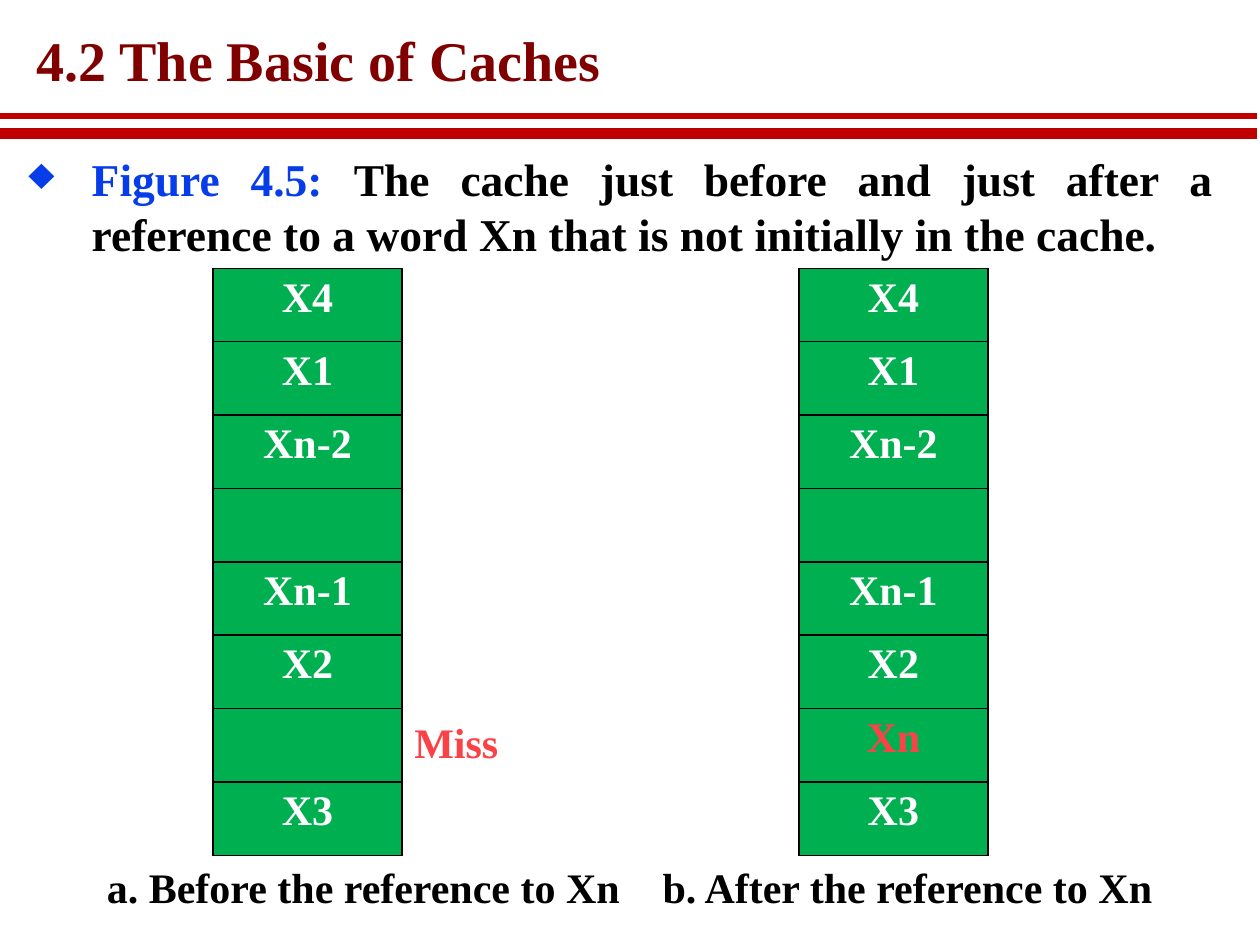
import dataclasses

import lxml.etree
import pptx
import pptx.dml.color
import pptx.enum.shapes
import pptx.enum.text
import pptx.oxml.ns
import pptx.util

PX = 9144
ALIGN = pptx.enum.text.PP_ALIGN
ANCHOR = pptx.enum.text.MSO_ANCHOR


@dataclasses.dataclass(frozen=True)
class Theme:
    """Colours, type sizes and font of the slide."""
    font: str = "Times New Roman"
    title: str = "800000"
    rule: str = "C00000"
    figure: str = "063DE8"
    text: str = "000000"
    cell: str = "00B050"
    cell_text: str = "FFFFFF"
    miss: str = "FB4347"
    title_size: int = 32
    body_size: int = 26
    label_size: int = 24


THEME = Theme()


def rgb(color):
    """Return the colour for a hex string."""
    return pptx.dml.color.RGBColor.from_string(color)


def emu(*lengths):
    """Turn px lengths into EMU."""
    return [n * PX for n in lengths]


def sub(parent, tag, **attrs):
    """Append a DrawingML element to parent."""
    return lxml.etree.SubElement(parent, pptx.oxml.ns.qn(tag), attrs)


def style(p, size, color, align=ALIGN.LEFT):
    """Format a paragraph in the bold slide font."""
    p.alignment = align
    p.font.name = THEME.font
    p.font.size = pptx.util.Pt(size)
    p.font.bold = True
    p.font.color.rgb = rgb(color)


def add_title(s, box, text):
    """Place and format the title placeholder."""
    sp = s.shapes.title
    sp.left, sp.top, sp.width, sp.height = emu(*box)
    tf = sp.text_frame
    tf.text = text
    tf.word_wrap = False
    tf.vertical_anchor = ANCHOR.MIDDLE
    tf.margin_left = tf.margin_right = 7 * PX
    tf.margin_top = tf.margin_bottom = 3 * PX
    p = tf.paragraphs[0]
    p.line_spacing = 0.87
    style(p, THEME.title_size, THEME.title)


def add_rules(s, box):
    """Draw a thin rule at the top of the box and a thick one at its bottom."""
    x, y, w, h = box
    for rule_y, weight in ((y, 3), (y + h, 6)):
        line = s.shapes.add_connector(
            pptx.enum.shapes.MSO_CONNECTOR.STRAIGHT, *emu(x, rule_y, x + w, rule_y))
        line.line.color.rgb = rgb(THEME.rule)
        line.line.width = pptx.util.Pt(weight)
        sub(line.element.spPr, "a:effectLst")


def add_label(s, box, text, color=THEME.text, wrap=True):
    """Add a one-line label."""
    tf = s.shapes.add_textbox(*emu(*box)).text_frame
    tf.word_wrap = wrap
    tf.text = text
    style(tf.paragraphs[0], THEME.label_size, color)


def add_statement(s, box, lead, text):
    """Add the justified bullet with its coloured lead-in."""
    tf = s.shapes.add_textbox(*emu(*box)).text_frame
    tf.word_wrap = True
    p = tf.paragraphs[0]
    style(p, THEME.body_size, THEME.text, ALIGN.JUSTIFY)
    p.space_before = pptx.util.Pt(5)
    for words, color in ((lead, THEME.figure), (text, THEME.text)):
        r = p.add_run()
        r.text = words
        r.font.color.rgb = rgb(color)
    pPr = p._p.get_or_add_pPr()
    pPr.set("marL", str(50 * PX))
    pPr.set("indent", str(-50 * PX))
    bullet = sub(pPr, "a:buChar", char="♦")
    pPr.find(pptx.oxml.ns.qn("a:defRPr")).addprevious(bullet)


def add_borders(cell):
    """Give a cell thin borders on all four sides."""
    tcPr = cell._tc.get_or_add_tcPr()
    for i, side in enumerate(("a:lnL", "a:lnR", "a:lnT", "a:lnB")):
        ln = sub(tcPr, side, w=str(pptx.util.Pt(1)))
        sub(sub(ln, "a:solidFill"), "a:srgbClr", val=THEME.text)
        tcPr.insert(i, ln)


def add_cache(s, box, words, new_word=None):
    """Add a one-column cache, with the newly loaded word highlighted."""
    table = s.shapes.add_table(len(words), 1, *emu(*box)).table
    table.first_row = table.horz_banding = False
    for row, word in zip(table.rows, words):
        row.height = box[3] * PX // len(words)
        cell = row.cells[0]
        cell.fill.solid()
        cell.fill.fore_color.rgb = rgb(THEME.cell)
        add_borders(cell)
        if word:
            cell.text = word
            color = THEME.miss if word == new_word else THEME.cell_text
            style(cell.text_frame.paragraphs[0], THEME.label_size, color, ALIGN.CENTER)


def main():
    """Build and save the slide."""
    prs = pptx.Presentation()
    prs.slide_width, prs.slide_height = emu(1000, 750)
    s = prs.slides.add_slide(prs.slide_layouts[5])
    add_title(s, (22, 25, 467, 52), "4.2 The Basic of Caches")
    add_rules(s, (-1, 92, 999, 14))
    add_statement(s, (13, 115, 960, 98), "Figure 4.5: ",
                  "The cache just before and just after a reference to a word Xn "
                  "that is not initially in the cache.")
    before = ["X4", "X1", "Xn-2", "", "Xn-1", "X2", "", "X3"]
    after = before[:6] + ["Xn"] + before[7:]
    add_cache(s, (169, 213, 150, 466), before)
    add_cache(s, (634, 213, 150, 466), after, "Xn")
    add_label(s, (319, 564, 88, 50), "Miss", THEME.miss, wrap=False)
    add_label(s, (75, 679, 439, 50), "a. Before the reference to Xn")
    add_label(s, (516, 679, 469, 50), "b. After the reference to Xn")
    prs.save("out.pptx")


if __name__ == "__main__":
    main()
